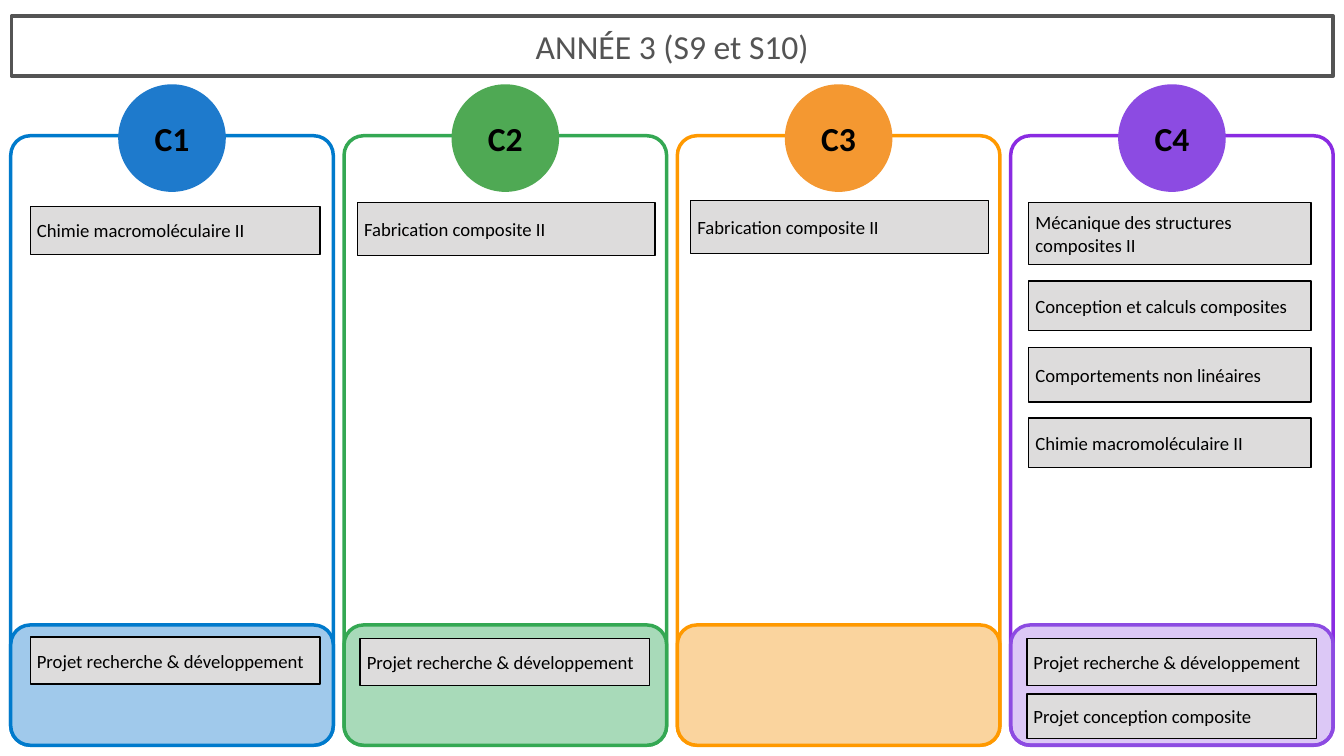
from dataclasses import dataclass

from lxml.etree import SubElement
from pptx import Presentation
from pptx.dml.color import RGBColor
from pptx.enum.shapes import MSO_SHAPE
from pptx.enum.text import MSO_ANCHOR, PP_ALIGN
from pptx.oxml.ns import qn
from pptx.util import Inches, Pt


@dataclass(frozen=True)
class Theme:
    font: str = "Calibri"
    ink: str = "000000"
    title: str = "545454"
    card: str = "DDDCDC"
    head_size: int = 36
    card_size: int = 20
    frame: float = 3.75
    ring: float = 2.25
    edge: float = 1.5
    radius: float = 0.29


@dataclass(frozen=True)
class Column:
    name: str
    line: str
    disc: str
    foot: str
    cards: tuple  # text, left in column, top on slide, width, height
    alpha: int = 100


THEME = Theme()
LEFT, PITCH = 0.16, 4.96
TOP, WIDTH, HEIGHT = 2.02, 4.8, 9.07
FOOT = 1.79
DISC = 1.57
PROJECT = "Projet recherche & développement"
CHEMISTRY = "Chimie macromoléculaire II"
MAKING = "Fabrication composite II"

COLUMNS = (
    Column("C1", "007ACC", "1E7ACC", "A0C9EB", (
        (CHEMISTRY, 0.29, 3.07, 4.31, 0.72),
        (PROJECT, 0.29, 9.48, 4.31, 0.7))),
    Column("C2", "34A853", "4FA954", "A8DAB9", (
        (MAKING, 0.2, 3.01, 4.43, 0.79),
        (PROJECT, 0.24, 9.5, 4.31, 0.7))),
    Column("C3", "FF9900", "F49831", "FAD49E", (
        (MAKING, 0.2, 2.98, 4.43, 0.79),)),
    Column("C4", "8A2BE2", "8C4BE2", "8C4BE2", (
        ("Mécanique des structures composites II", 0.27, 3.01, 4.2, 0.93),
        ("Conception et calculs composites", 0.27, 4.18, 4.2, 0.74),
        ("Comportements non linéaires", 0.27, 5.17, 4.2, 0.81),
        (CHEMISTRY, 0.27, 6.22, 4.2, 0.74),
        (PROJECT, 0.24, 9.5, 4.31, 0.7),
        ("Projet conception composite", 0.24, 10.33, 4.31, 0.66)), alpha=30),
)


def add_box(slide, kind, box, line, weight, fill=None):
    shape = slide.shapes.add_shape(kind, *map(Inches, box))
    shape.shadow.inherit = False
    shape.line.color.rgb = RGBColor.from_string(line)
    shape.line.width = Pt(weight)
    if fill:
        shape.fill.solid()
        shape.fill.fore_color.rgb = RGBColor.from_string(fill)
    else:
        shape.fill.background()
    return shape


def add_panel(slide, box, line, fill=None):
    """Rounded frame with the same corner radius at any size."""
    panel = add_box(slide, MSO_SHAPE.ROUNDED_RECTANGLE, box, line, THEME.frame, fill)
    panel.adjustments[0] = THEME.radius / min(box[2:])
    return panel


def set_text(shape, text, size, color, align=PP_ALIGN.CENTER, bold=False):
    frame = shape.text_frame
    frame.word_wrap = True
    frame.vertical_anchor = MSO_ANCHOR.MIDDLE
    line = frame.paragraphs[0]
    line.text = text
    line.alignment = align
    line.font.name = THEME.font
    line.font.size = Pt(size)
    line.font.bold = bold
    line.font.color.rgb = RGBColor.from_string(color)


def set_alpha(shape, percent):
    color = shape.fill._xPr.find(qn("a:solidFill"))[0]
    SubElement(color, qn("a:alpha"), val=str(percent * 1000))


def add_title(slide, box):
    title = add_box(slide, MSO_SHAPE.RECTANGLE, box, THEME.title, THEME.frame)
    set_text(title, "ANNÉE 3 (S9 et S10)", THEME.head_size, THEME.title)


def add_disc(slide, box, column):
    disc = add_box(slide, MSO_SHAPE.OVAL, box, column.disc, THEME.ring, column.disc)
    frame = disc.text_frame
    frame.margin_left = frame.margin_right = 0
    frame.margin_top = frame.margin_bottom = 0
    set_text(disc, column.name, THEME.head_size, THEME.ink, bold=True)


def add_card(slide, box, text):
    card = add_box(slide, MSO_SHAPE.RECTANGLE, box, THEME.ink, THEME.edge, THEME.card)
    set_text(card, text, THEME.card_size, THEME.ink, PP_ALIGN.LEFT)


def add_column(slide, box, column):
    left, top, width, height = box
    add_panel(slide, box, column.line)
    add_disc(slide, (left + (width - DISC) / 2, top - 0.75, DISC, DISC), column)
    edge = column.line if column.alpha == 100 else column.foot
    foot = add_panel(slide, (left, top + height - FOOT, width, FOOT), edge, column.foot)
    if column.alpha < 100:
        set_alpha(foot, column.alpha)
    for text, inset, *rest in column.cards:
        add_card(slide, (left + inset, *rest), text)


def main():
    deck = Presentation()
    deck.slide_width, deck.slide_height = Inches(20), Inches(11.25)
    slide = deck.slides.add_slide(deck.slide_layouts[6])
    add_title(slide, (0.17, 0.24, 19.67, 0.89))
    for index, column in enumerate(COLUMNS):
        add_column(slide, (LEFT + index * PITCH, TOP, WIDTH, HEIGHT), column)
    deck.save("out.pptx")


if __name__ == "__main__":
    main()
